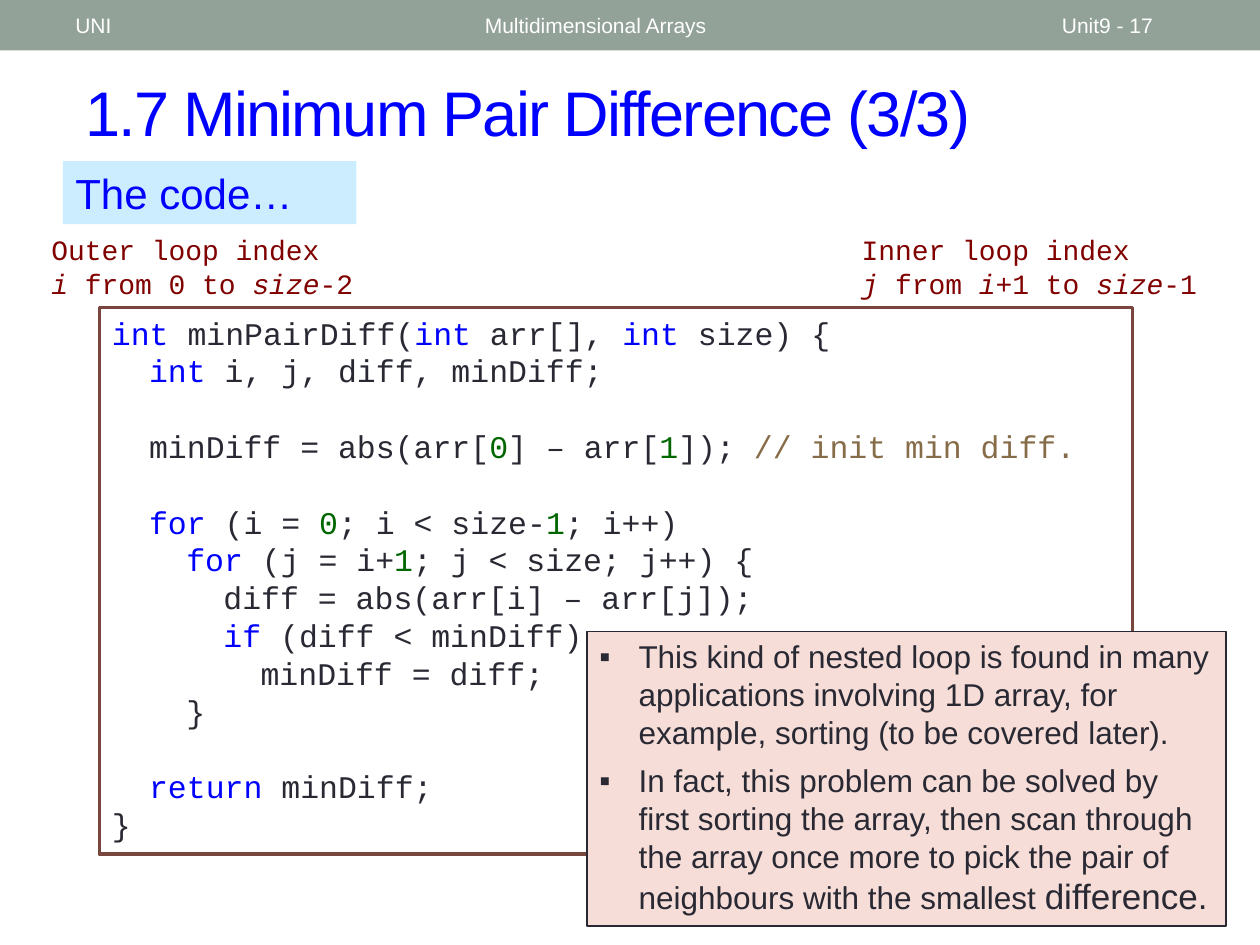
import pptx
import pptx.dml.color
import pptx.enum.shapes
import pptx.enum.text
import pptx.oxml.ns
import pptx.util
from lxml import etree

Inches, Pt = pptx.util.Inches, pptx.util.Pt
RGBColor = pptx.dml.color.RGBColor
MIDDLE = pptx.enum.text.MSO_ANCHOR.MIDDLE
TOP = pptx.enum.text.MSO_ANCHOR.TOP

BLUE = RGBColor(0x00, 0x00, 0xFF)
DARK = RGBColor(0x29, 0x29, 0x34)
GREEN = RGBColor(0x00, 0x66, 0x00)
TAN = RGBColor(0x86, 0x6C, 0x49)
MAROON = RGBColor(0x80, 0x00, 0x00)
WHITE = RGBColor(0xFF, 0xFF, 0xFF)
SAGE = RGBColor(0x93, 0xA2, 0x99)
BROWN = RGBColor(0x79, 0x46, 0x3D)
SKY = RGBColor(0xCC, 0xEC, 0xFF)
PINK = RGBColor(0xF6, 0xDD, 0xD8)

SANS, MONO = "Arial", "Courier New"
WIDTH, HEIGHT = 10, 7.5
TAB_STEP = 0.295
TAB_COUNT = 6
CODE_LINE = 21.6
BULLET_INDENT = 0.31

# Content
HEADER = [("UNI", 0.5, 3.17), ("Multidimensional Arrays", 3.75, 4.5), ("Unit9 - 17", 8.33, 1.17)]
TITLE = "1.7 Minimum Pair Difference (3/3)"
SUBTITLE = "The code…"

# Loop notes: left, width, lines of (text, italic)
LOOP_NOTES = [
    (0.31, 2.77, [[("Outer loop index", False)],
                  [("i", True), (" from 0 to ", False), ("size", True), ("-2", False)]]),
    (6.74, 2.99, [[("Inner loop index", False)],
                  [("j", True), (" from ", False), ("i", True), ("+1 to ", False),
                   ("size", True), ("-1", False)]]),
]

# Code: indent level, gap above, runs of (text, colour)
CODE = [
    (0, False, [("int ", BLUE), ("minPairDiff(", DARK), ("int ", BLUE), ("arr[], ", DARK),
                ("int", BLUE), (" size) {", DARK)]),
    (1, False, [("int ", BLUE), ("i, j, diff, minDiff;", DARK)]),
    (1, True, [("minDiff = abs(arr[", DARK), ("0", GREEN), ("] – arr[", DARK), ("1", GREEN),
               ("]); ", DARK), ("// init min diff.", TAN)]),
    (1, True, [("for", BLUE), (" (i = ", DARK), ("0", GREEN), ("; i < size-", DARK),
               ("1", GREEN), ("; i++)", DARK)]),
    (2, False, [("for", BLUE), (" (j = i+", DARK), ("1", GREEN), ("; j < size; j++) {", DARK)]),
    (3, False, [("diff = abs(arr[i] – arr[j]);", DARK)]),
    (3, False, [("if", BLUE), (" (diff < minDiff)", DARK)]),
    (4, False, [("minDiff = diff;", DARK)]),
    (2, False, [("}", DARK)]),
    (1, True, [("return ", BLUE), ("minDiff;", DARK)]),
    (0, False, [("}", DARK)]),
]

# Remarks: runs of (text, size)
REMARKS = [
    [("This kind of nested loop is found in many applications involving 1D array, "
      "for example, sorting (to be covered later).", 18)],
    [("In fact, this problem can be solved by first sorting the array, then scan through "
      "the array once more to pick the pair of neighbours with the smallest ", 18),
     ("difference.", 20)],
]


def add_text_box(slide, left, top, width, height, anchor=TOP):
    box = slide.shapes.add_textbox(Inches(left), Inches(top), Inches(width), Inches(height))
    box.text_frame.word_wrap = True
    box.text_frame.vertical_anchor = anchor
    return box.text_frame


def add_panel(slide, left, top, width, height, fill, line=None, line_width=0):
    shape = slide.shapes.add_shape(pptx.enum.shapes.MSO_SHAPE.RECTANGLE, Inches(left),
                                   Inches(top), Inches(width), Inches(height))
    shape.shadow.inherit = False
    shape.fill.solid()
    shape.fill.fore_color.rgb = fill
    if line is None:
        shape.line.fill.background()
    else:
        shape.line.color.rgb = line
        shape.line.width = Pt(line_width)
    shape.text_frame.word_wrap = True
    shape.text_frame.vertical_anchor = TOP
    return shape.text_frame


def next_paragraph(text_frame, index):
    paragraph = text_frame.paragraphs[0] if index == 0 else text_frame.add_paragraph()
    paragraph.alignment = pptx.enum.text.PP_ALIGN.LEFT
    return paragraph


def add_run(paragraph, text, font, size, colour, italic=None):
    run = paragraph.add_run()
    run.text = text
    run.font.name = font
    run.font.size = Pt(size)
    run.font.color.rgb = colour
    run.font.italic = italic
    return run


def add_property(paragraph, tag, **attributes):
    properties = paragraph._p.get_or_add_pPr()
    return etree.SubElement(properties, pptx.oxml.ns.qn(tag), **attributes)


def add_tab_stops(paragraph):
    tab_list = add_property(paragraph, "a:tabLst")
    for stop in range(1, TAB_COUNT + 1):
        etree.SubElement(tab_list, pptx.oxml.ns.qn("a:tab"),
                         pos=str(Inches(stop * TAB_STEP)), algn="l")


def add_bullet(paragraph):
    properties = paragraph._p.get_or_add_pPr()
    properties.set("marL", str(Inches(BULLET_INDENT)))
    properties.set("indent", str(-Inches(BULLET_INDENT)))
    add_property(paragraph, "a:buFont", typeface=SANS)
    add_property(paragraph, "a:buChar", char="▪")


def main():
    presentation = pptx.Presentation()
    presentation.slide_width = Inches(WIDTH)
    presentation.slide_height = Inches(HEIGHT)
    slide = presentation.slides.add_slide(presentation.slide_layouts[6])

    # Header band
    add_panel(slide, 0, 0, WIDTH, 0.4, SAGE)
    for text, left, width in HEADER:
        frame = add_text_box(slide, left, 0.02, width, 0.36, MIDDLE)
        add_run(next_paragraph(frame, 0), text, SANS, 12, WHITE)

    # Title and subtitle
    frame = add_text_box(slide, 0.58, 0.42, 9.17, 0.92, MIDDLE)
    title_run = add_run(next_paragraph(frame, 0), TITLE, SANS, 36, BLUE)
    title_run._r.get_or_add_rPr().set("spc", "-100")
    frame = add_panel(slide, 0.5, 1.28, 2.33, 0.5, SKY)
    add_run(next_paragraph(frame, 0), SUBTITLE, SANS, 24, BLUE)

    # Loop notes
    for left, width, lines in LOOP_NOTES:
        frame = add_text_box(slide, left, 1.8, width, 0.64)
        for index, runs in enumerate(lines):
            paragraph = next_paragraph(frame, index)
            for text, italic in runs:
                add_run(paragraph, text, MONO, 16, MAROON, italic)

    # Code panel
    frame = add_panel(slide, 0.79, 2.44, 8.2, 4.34, WHITE, BROWN, 2.08)
    for index, (level, gap, runs) in enumerate(CODE):
        paragraph = next_paragraph(frame, index)
        if gap:
            paragraph.space_before = Pt(CODE_LINE)
        add_tab_stops(paragraph)
        if level:
            add_run(paragraph, "\t" * level, MONO, 18, DARK)
        for text, colour in runs:
            add_run(paragraph, text, MONO, 18, colour)

    # Remarks panel
    frame = add_panel(slide, 4.66, 5.01, 5.07, 2.34, PINK, DARK, 0.75)
    for index, runs in enumerate(REMARKS):
        paragraph = next_paragraph(frame, index)
        paragraph.space_before = Pt(6)
        add_bullet(paragraph)
        for text, size in runs:
            add_run(paragraph, text, SANS, size, DARK)

    presentation.save("out.pptx")


if __name__ == "__main__":
    main()
